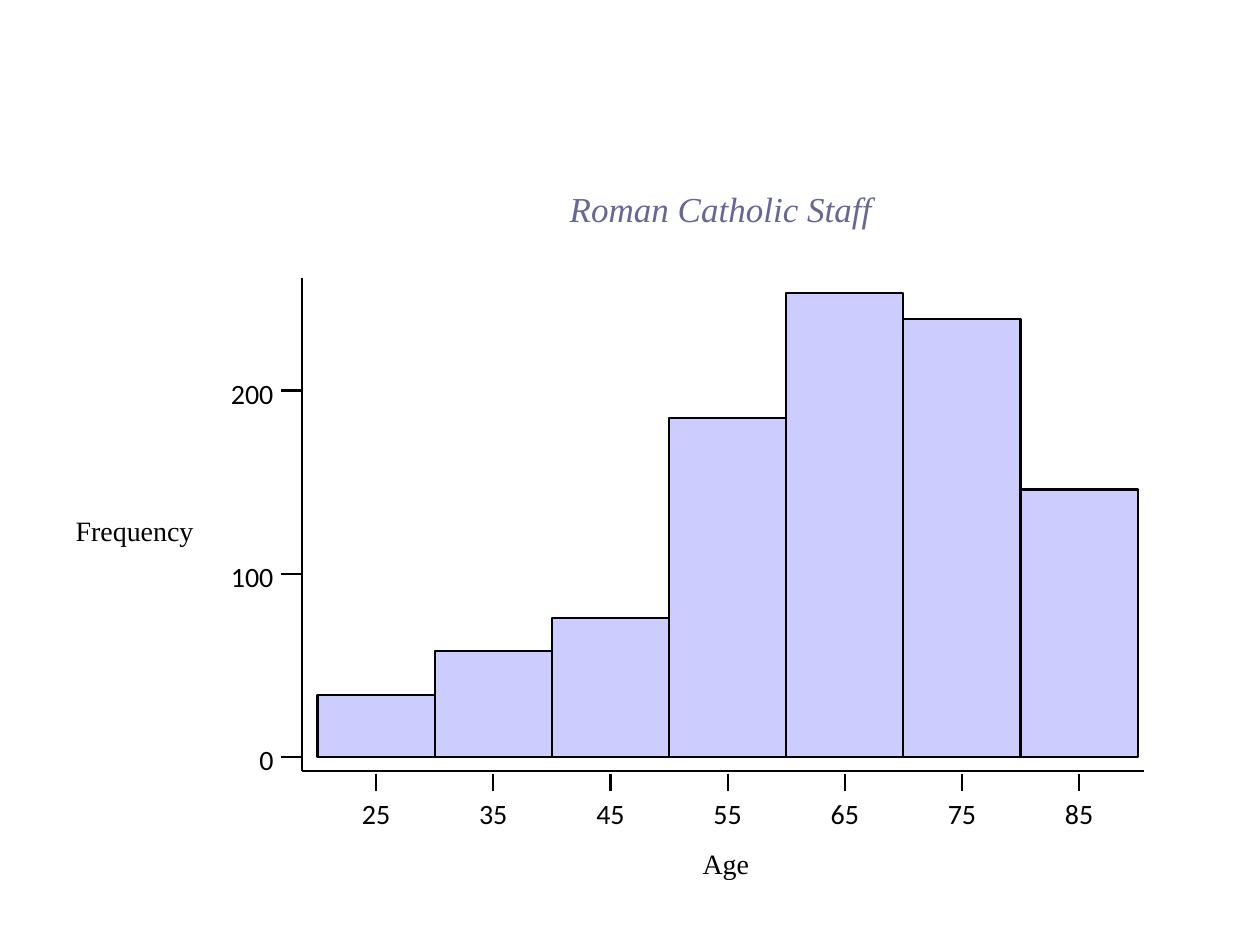
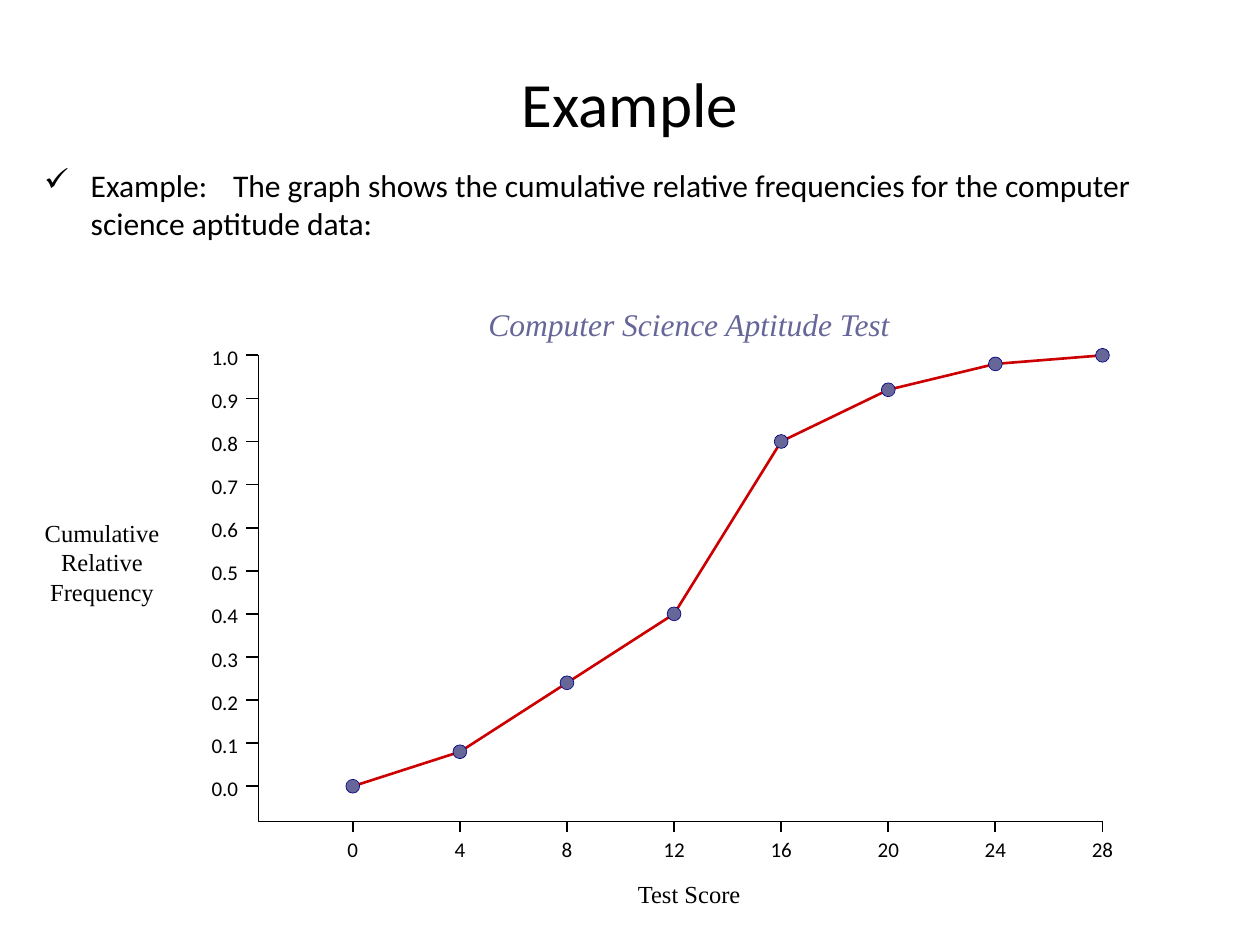
from lxml.etree import SubElement as Sub
from pptx import Presentation
from pptx.dml.color import RGBColor
from pptx.enum.shapes import MSO_CONNECTOR as Conn, MSO_SHAPE as Shape
from pptx.enum.text import MSO_ANCHOR as Anchor, PP_ALIGN as Align
from pptx.oxml.ns import qn
from pptx.util import Inches, Pt

BLACK, SLATE, LILAC, RED, NAVY = "000000", "666699", "CCCCFF", "CC0000", "000080"
SANS, SERIF = "Calibri", "Times New Roman"


def color(code):
    """Turn a hex string into a colour."""
    return RGBColor.from_string(code)


def text(slide, words, box, size, face=SANS, align=Align.CENTER, hue=BLACK, slant=None):
    """Add a text box without insets and return its shape."""
    shape = slide.shapes.add_textbox(*map(Inches, box))
    frame = shape.text_frame
    frame.word_wrap = True
    frame.margin_left = frame.margin_right = frame.margin_top = frame.margin_bottom = 0
    para = frame.paragraphs[0]
    para.text = words
    para.alignment = align
    font = para.font
    font.name, font.size, font.italic = face, Pt(size), slant
    font.color.rgb = color(hue)
    return shape


def caption(slide, words, box, size):
    """Add a chart title in slanted serif."""
    text(slide, words, box, size, SERIF, hue=SLATE, slant=True)


def line(slide, x1, y1, x2, y2, width):
    """Draw a black straight line."""
    conn = slide.shapes.add_connector(Conn.STRAIGHT, *map(Inches, (x1, y1, x2, y2)))
    conn.line.color.rgb = color(BLACK)
    conn.line.width = Pt(width)
    Sub(conn._element.spPr, qn("a:effectLst"))


def paint(shape, fill, edge, width):
    """Set the fill and outline of a shape."""
    shape.shadow.inherit = False
    if fill:
        shape.fill.solid()
        shape.fill.fore_color.rgb = color(fill)
    else:
        shape.fill.background()
    shape.line.color.rgb = color(edge)
    shape.line.width = Pt(width)


def form(slide, kind, box, fill, edge, width):
    """Add a painted preset shape."""
    paint(slide.shapes.add_shape(kind, *map(Inches, box)), fill, edge, width)


def trace(slide, points, edge, width):
    """Draw an open line through points."""
    start, *rest = [(Inches(x), Inches(y)) for x, y in points]
    path = slide.shapes.build_freeform(*start)
    path.add_line_segments(rest, close=False)
    paint(path.convert_to_shape(), None, edge, width)


def x_mark(slide, label, x, top, drop, gap, size, width):
    """Add a tick below the x axis with its label."""
    line(slide, x, top, x, top + drop, width)
    text(slide, label, (x - 0.3, top + gap, 0.6, size / 60), size)


def y_mark(slide, label, right, y, reach, gap, size, width):
    """Add a tick left of the y axis with its label."""
    line(slide, right, y, right - reach, y, width)
    high = size / 60
    text(slide, label, (right - gap - 0.6, y - 0.43 * high, 0.6, high), size, align=Align.RIGHT)


def ages(slide, left, top, wide, high):
    """Draw the age histogram on the axis box given."""
    counts = [34, 58, 76, 185, 253, 239, 146]
    step, unit = 0.93, 0.01455
    first, base = left + 0.12, top + high - 0.11
    caption(slide, "Roman Catholic Staff", (left, top - 0.72, wide - 0.04, 0.33), 20)
    text(slide, "Frequency", (left - 1.8, top + 1.87, 1.01, 0.27), 16, SERIF, Align.LEFT)
    text(slide, "Age", (left + 0.02, top + high + 0.6, wide, 0.27), 16, SERIF)
    line(slide, left, top, left, top + high, 1.25)
    line(slide, left, top + high, left + wide, top + high, 1.25)
    for value in (0, 100, 200):
        y_mark(slide, str(value), left, base - value * unit, 0.17, 0.23, 16, 1.25)
    for i, count in enumerate(counts):
        x, tall = first + i * step, count * unit
        form(slide, Shape.RECTANGLE, (x, base - tall, step, tall), LILAC, BLACK, 1.25)
        x_mark(slide, str(25 + 10 * i), x + step / 2, top + high + 0.02, 0.14, 0.18, 16, 1.25)


def scores(slide, left, top, wide, high):
    """Draw the cumulative curve on the axis box given."""
    shares = [0, 0.08, 0.24, 0.4, 0.8, 0.92, 0.98, 1]
    step, unit, dot = 0.85, 3.42, 0.11
    points = [(left + 0.75 + i * step, top + (1 - share) * unit)
              for i, share in enumerate(shares)]
    caption(slide, "Computer Science Aptitude Test", (left + 0.56, top - 0.4, 5.72, 0.3), 18)
    text(slide, "Cumulative Relative Frequency", (left - 1.96, top + 1.29, 1.44, 0.7), 14, SERIF)
    text(slide, "Test Score", (left + 2.7, top + high + 0.46, 1.44, 0.23), 14, SERIF)
    trace(slide, [(left, top), (left, top + high), (left + wide, top + high)], BLACK, 0.75)
    for i in range(11):
        y_mark(slide, f"{i / 10:.1f}", left, top + (1 - i / 10) * unit, 0.1, 0.16, 12, 1)
    trace(slide, points, RED, 1.5)
    for i, (x, y) in enumerate(points):
        x_mark(slide, str(4 * i), x, top + high, 0.08, 0.12, 12, 1)
        form(slide, Shape.OVAL, (x - dot / 2, y - dot / 2, dot, dot), SLATE, NAVY, 0.38)


def title(slide, words, box):
    """Add the slide title."""
    text(slide, words, box, 36).text_frame.vertical_anchor = Anchor.MIDDLE


def bullet(slide, words, box):
    """Add a paragraph with a check mark and hanging indent."""
    para = text(slide, "", box, 18, align=Align.LEFT).text_frame.paragraphs[0]
    para.text = words
    props = para._p.get_or_add_pPr()
    props.set("marL", str(Inches(0.37)))
    props.set("indent", str(-Inches(0.37)))
    mark = Sub(props, qn("a:buChar"))
    mark.set("char", "✓")
    props.insert(0, mark)


def main():
    """Build and save both slides."""
    deck = Presentation()
    deck.slide_width, deck.slide_height = Inches(10), Inches(7.5)
    blank = deck.slide_layouts[6]
    ages(deck.slides.add_slide(blank), 2.4, 2.21, 6.68, 3.91)
    slide = deck.slides.add_slide(blank)
    title(slide, "Example", (0.5, 0.3, 9, 1.02))
    bullet(slide, "Example:\tThe graph shows the cumulative relative frequencies "
           "for the computer science aptitude data:", (0.35, 1.32, 9.38, 1.2))
    scores(slide, 2.05, 2.82, 6.7, 3.7)
    deck.save("out.pptx")


if __name__ == "__main__":
    main()
